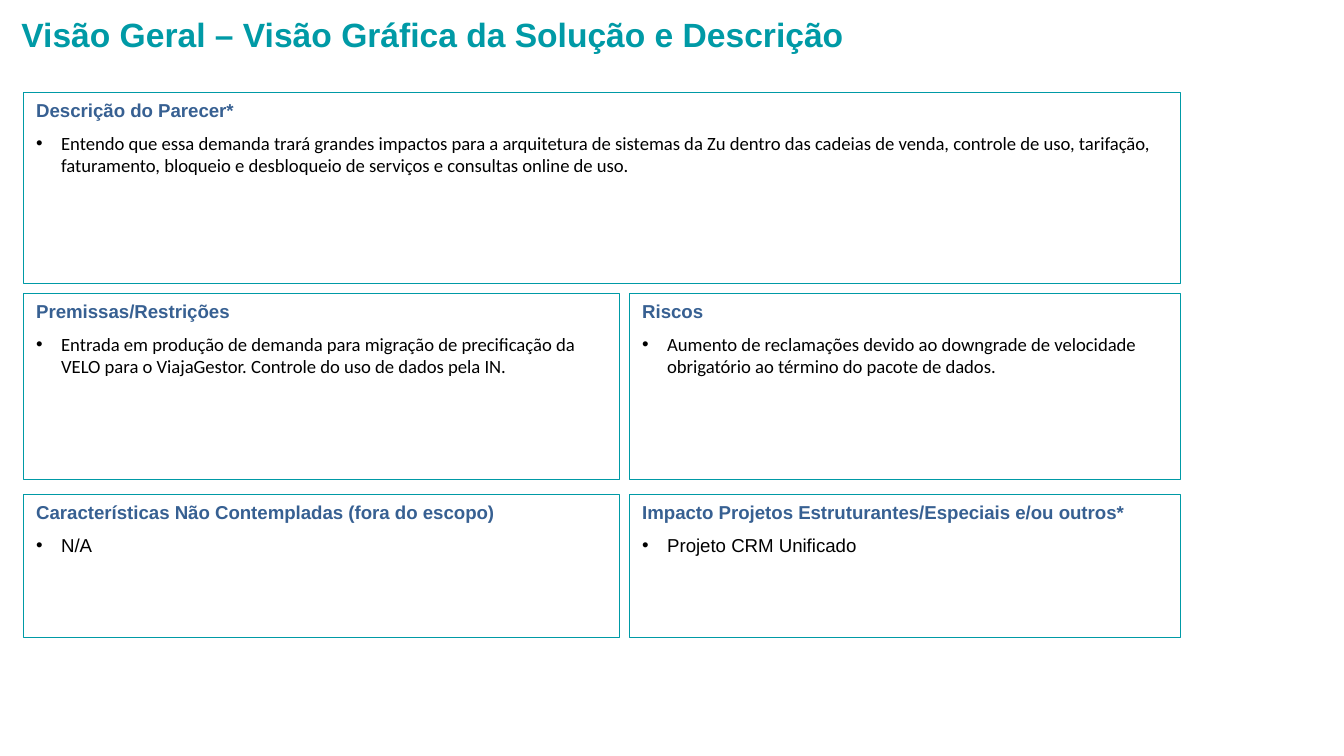
from lxml import etree
from pptx import Presentation
from pptx.dml.color import RGBColor
from pptx.enum.shapes import MSO_SHAPE
from pptx.enum.text import MSO_ANCHOR, MSO_AUTO_SIZE, PP_ALIGN
from pptx.oxml.ns import qn
from pptx.util import Emu, Pt

RECT = MSO_SHAPE.RECTANGLE
TOP, MIDDLE = MSO_ANCHOR.TOP, MSO_ANCHOR.MIDDLE
LEFT = PP_ALIGN.LEFT
NO_FIT = MSO_AUTO_SIZE.NONE
TEAL, NAVY, BLACK = "009AA6", "376092", "000000"
SANS, BODY = "Arial", "Calibri"
EDGE, RIGHT, GAP = 23, 1180, 10
SPLIT = 629
FULL, WEST, EAST = (EDGE, RIGHT), (EDGE, SPLIT - GAP), (SPLIT, RIGHT)
FIRST, SECOND, THIRD = (92, 191), (293, 186), (494, 143)
HANG = 25
PANELS = [
    (FULL, FIRST, "Descrição do Parecer*", BODY,
     "Entendo que essa demanda trará grandes impactos para a arquitetura de "
     "sistemas da Zu dentro das cadeias de venda, controle de uso, tarifação, "
     "faturamento, bloqueio e desbloqueio de serviços e consultas online de uso."),
    (WEST, THIRD, "Características Não Contempladas (fora do escopo)", SANS, "N/A"),
    (WEST, SECOND, "Premissas/Restrições", BODY,
     "Entrada em produção de demanda para migração de precificação da "
     "VELO para o ViajaGestor. Controle do uso de dados pela IN."),
    (EAST, SECOND, "Riscos", BODY,
     "Aumento de reclamações devido ao downgrade de velocidade "
     "obrigatório ao término do pacote de dados."),
    (EAST, THIRD, "Impacto Projetos Estruturantes/Especiais e/ou outros*", SANS,
     "Projeto CRM Unificado"),
]


def px(n):
    """Turn pixels into EMU."""
    return Emu(round(n * 914400 / 134.4))


def color(code):
    """Turn a hex string into a colour."""
    return RGBColor.from_string(code)


def style(para, face, size, code, bold):
    """Set the font and alignment of a paragraph."""
    para.alignment = LEFT
    font = para.font
    font.name, font.size, font.bold = face, Pt(size), bold
    font.color.rgb = color(code)


def bullet(para):
    """Give a paragraph a round bullet with a hanging indent."""
    props = para._p.get_or_add_pPr()
    props.set("marL", str(px(HANG)))
    props.set("indent", str(-px(HANG)))
    etree.SubElement(props, qn("a:buFont")).set("typeface", SANS)
    etree.SubElement(props, qn("a:buChar")).set("char", "•")


def add_title(slide, text):
    """Place and format the slide title."""
    title = slide.shapes.title
    title.left, title.top, title.width, title.height = map(px, (8, 7, 1183, 54))
    frame = title.text_frame
    frame.text = text
    frame.word_wrap = True
    frame.auto_size = NO_FIT
    frame.vertical_anchor = MIDDLE
    style(frame.paragraphs[0], SANS, 18, TEAL, True)


def add_panel(slide, span, row, head, face, text):
    """Draw an outlined panel with a heading and one bullet."""
    left, right = span
    top, height = row
    box = slide.shapes.add_shape(RECT, px(left), px(top), px(right - left), px(height))
    box.shadow.inherit = False
    box.fill.background()
    box.line.color.rgb = color(TEAL)
    box.line.width = Pt(0.25)
    frame = box.text_frame
    frame.word_wrap = True
    frame.vertical_anchor = TOP
    frame.text = head
    style(frame.paragraphs[0], SANS, 10, NAVY, True)
    item = frame.add_paragraph()
    item.text = text
    item.space_before = Pt(5.75)
    bullet(item)
    style(item, face, 10, BLACK, False)


def main():
    """Build the slide and save it."""
    deck = Presentation()
    deck.slide_width, deck.slide_height = px(1344), px(756)
    slide = deck.slides.add_slide(deck.slide_layouts[5])
    add_title(slide, "Visão Geral – Visão Gráfica da Solução e Descrição")
    for panel in PANELS:
        add_panel(slide, *panel)
    deck.save("out.pptx")


if __name__ == "__main__":
    main()
